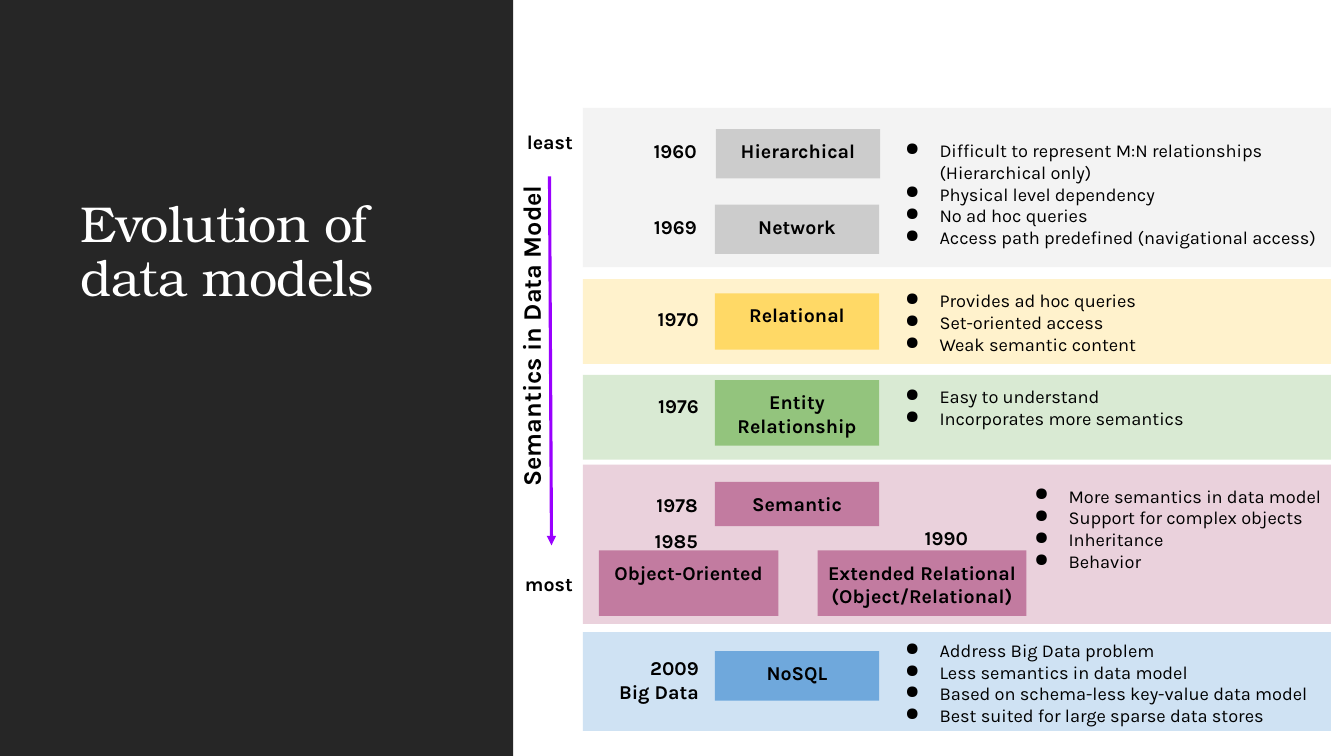
from lxml import etree
from pptx import Presentation
from pptx.dml.color import RGBColor
from pptx.enum.shapes import MSO_CONNECTOR as LINE, MSO_SHAPE as SHAPE
from pptx.enum.text import MSO_ANCHOR as ANCHOR, PP_ALIGN as ALIGN
from pptx.oxml.ns import qn
from pptx.util import Inches, Pt

prs = Presentation()
prs.slide_width, prs.slide_height = Inches(13.33), Inches(7.5)
slide = prs.slides.add_slide(prs.slide_layouts[6])


def rect(box, color):
    shape = slide.shapes.add_shape(SHAPE.RECTANGLE, *map(Inches, box))
    shape.shadow.inherit = False
    shape.fill.solid()
    shape.fill.fore_color.rgb = RGBColor.from_string(color)
    shape.line.fill.background()
    return shape


def write(lines, box=None, shape=None, size=14, bold=True, color="000000",
          font="Karla", align=ALIGN.LEFT, anchor=ANCHOR.TOP, bullet=False):
    """Put one paragraph per line in the shape, or in a new text box."""
    shape = shape or slide.shapes.add_textbox(*map(Inches, box))
    frame = shape.text_frame
    frame.word_wrap = True
    frame.vertical_anchor = anchor
    frame.margin_left = frame.margin_right = Inches(0.1)
    frame.margin_top = frame.margin_bottom = Inches(0.1)
    for i, line in enumerate(lines):
        para = frame.add_paragraph() if i else frame.paragraphs[0]
        para.alignment = align
        run = para.add_run()
        run.text = line
        run.font.name, run.font.size, run.font.bold = font, Pt(size), bold
        run.font.color.rgb = RGBColor.from_string(color)
        if bullet:
            props = para._p.get_or_add_pPr()
            props.set("marL", str(Inches(0.5)))
            props.set("indent", str(Inches(-0.34)))
            etree.SubElement(props, qn("a:buChar")).set("char", "●")
    return shape


# Title panel
rect((0, 0, 5.09, 7.5), "262626")
title = write(["Evolution of data models"], (0.7, 0.86, 3.85, 2.29), size=36,
              bold=False, color="FFFFFF", font="TeX Gyre Bonum", anchor=ANCHOR.BOTTOM)
para = title.text_frame.paragraphs[0]
para.line_spacing = 0.9
para.runs[0]._r.get_or_add_rPr().set("spc", "-50")

# Bands: top, height, colour
for top, height, color in [
    (1.07, 1.58, "F3F3F3"),
    (2.77, 0.84, "FFF2CC"),
    (3.72, 0.84, "D9EAD3"),
    (4.61, 1.58, "EAD1DC"),
    (6.27, 0.98, "CFE2F3"),
]:
    rect((5.78, top, 7.42, height), color)

# Models: name, left, top, width, height, colour
for name, left, top, width, height, color in [
    ("Hierarchical", 7.1, 1.28, 1.63, 0.49, "CCCCCC"),
    ("Network", 7.09, 2.03, 1.63, 0.49, "CCCCCC"),
    ("Relational", 7.09, 2.91, 1.63, 0.56, "FFD966"),
    ("Entity Relationship", 7.09, 3.77, 1.63, 0.65, "93C47D"),
    ("Semantic", 7.09, 4.78, 1.63, 0.44, "C27BA0"),
    ("Object-Oriented", 5.94, 5.46, 1.78, 0.65, "C27BA0"),
    ("Extended Relational (Object/Relational)", 8.11, 5.46, 2.07, 0.65, "C27BA0"),
    ("NoSQL", 7.09, 6.46, 1.63, 0.49, "6FA8DC"),
]:
    model = rect((left, top, width, height), color)
    write([name], shape=model, align=ALIGN.CENTER)

# Years: lines, left, top, width
for lines, left, top, width in [
    (["1960"], 5.86, 1.28, 1.15),
    (["1969"], 5.86, 2.03, 1.15),
    (["1970"], 5.88, 2.94, 1.15),
    (["1976"], 5.88, 3.81, 1.15),
    (["1978"], 5.98, 4.79, 1.04),
    (["1985"], 5.98, 5.15, 1.04),
    (["1990"], 8.66, 5.12, 1.04),
    (["2009", "Big Data"], 5.88, 6.41, 1.15),
]:
    write(lines, (left, top, width, 0.49), align=ALIGN.RIGHT)

# Traits: left, top, lines; every list ends at the right edge of its band
for left, top, lines in [
    (8.72, 1.28, ["Difficult to represent M:N relationships (Hierarchical only)",
                  "Physical level dependency", "No ad hoc queries",
                  "Access path predefined (navigational access)"]),
    (8.72, 2.77, ["Provides ad hoc queries", "Set-oriented access",
                  "Weak semantic content"]),
    (8.72, 3.72, ["Easy to understand", "Incorporates more semantics"]),
    (10, 4.71, ["More semantics in data model", "Support for complex objects",
                "Inheritance", "Behavior"]),
    (8.72, 6.24, ["Address Big Data problem", "Less semantics in data model",
                  "Based on schema-less key-value data model",
                  "Best suited for large sparse data stores"]),
]:
    write(lines, (left, top, 13.2 - left, 0.56), size=13, bold=False, bullet=True)

# Semantics scale
axis = write(["Semantics in Data Model"], (3.3, 2.71, 3.93, 0.5), size=18)
axis.rotation = 270
for word, top in [("least", 1.28), ("most", 5.66)]:
    write([word], (4.55, top, 1.23, 0.26), align=ALIGN.RIGHT, anchor=ANCHOR.MIDDLE)

arrow = slide.shapes.add_connector(LINE.STRAIGHT, Inches(5.45), Inches(1.75),
                                   Inches(5.47), Inches(5.41))
arrow.line.color.rgb = RGBColor.from_string("9900FF")
arrow.line.width = Pt(2.25)
etree.SubElement(arrow.line._get_or_add_ln(), qn("a:tailEnd")).set("type", "triangle")
etree.SubElement(arrow._element.spPr, qn("a:effectLst"))

prs.save("out.pptx")
